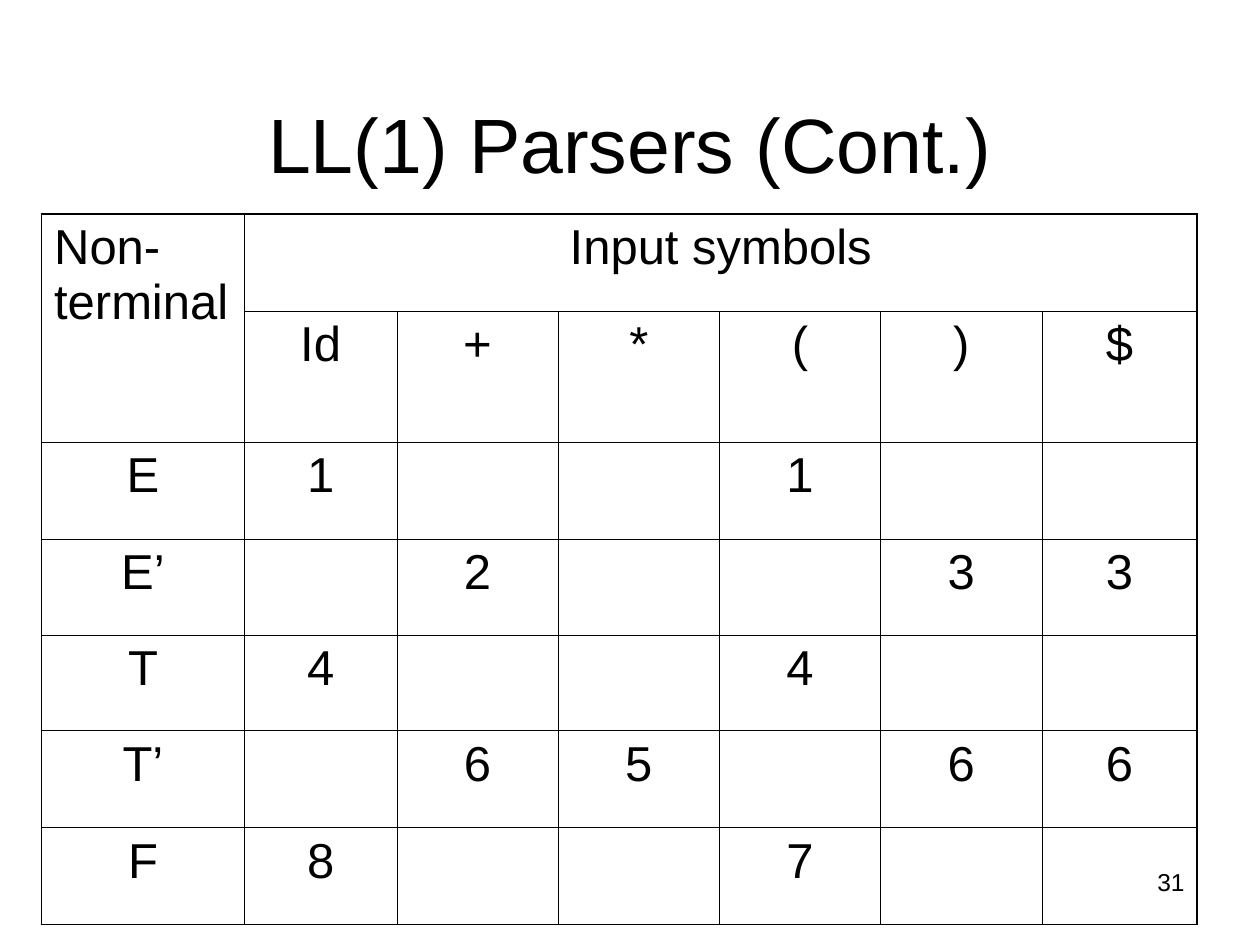
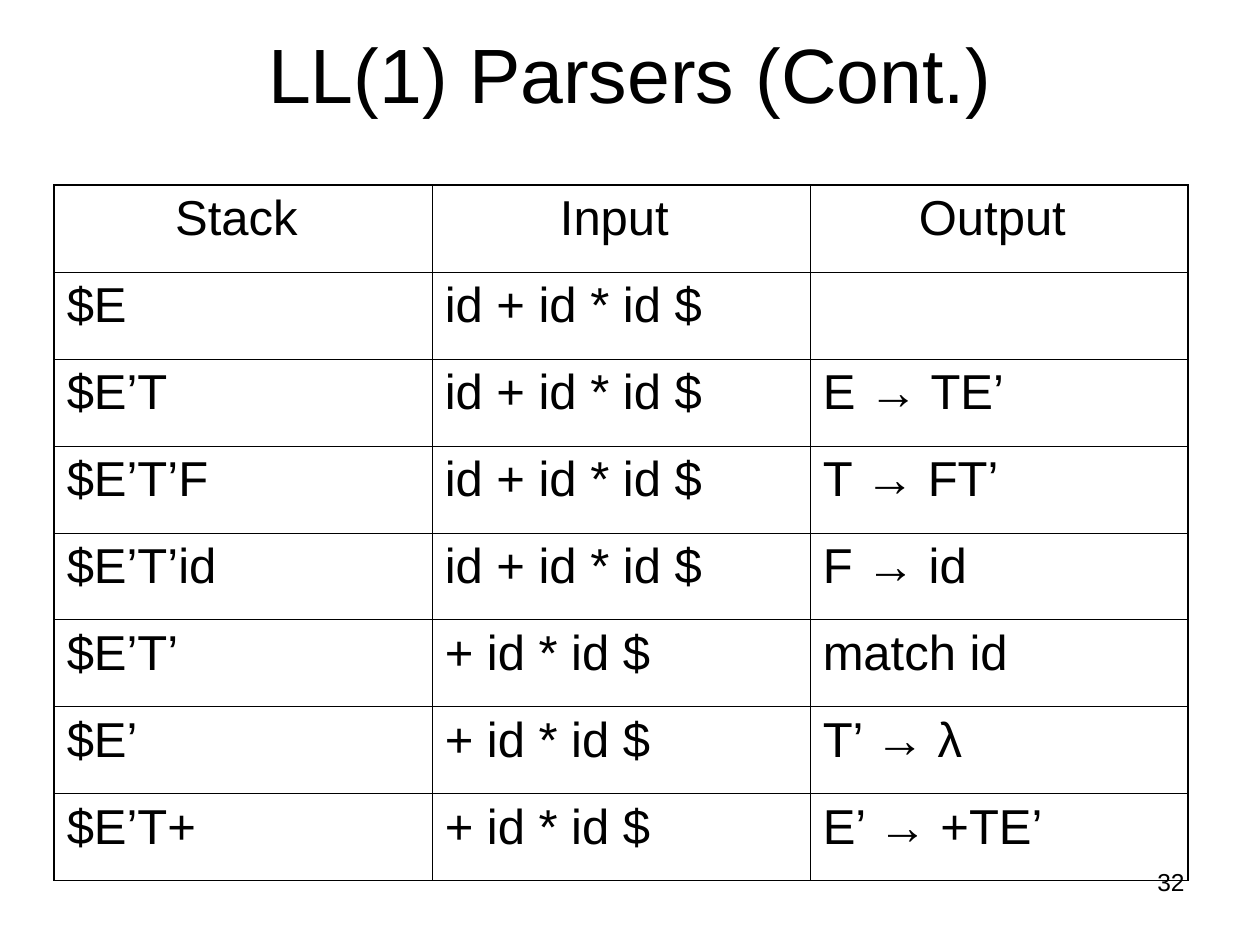
"""Build two slides on LL(1) parsing: the parse table and a parsing trace."""
import pptx
import pptx.dml.color
import pptx.enum.text
import pptx.oxml
import pptx.oxml.ns
import pptx.util

Inches = pptx.util.Inches
ALIGN = pptx.enum.text.PP_ALIGN
ANCHOR = pptx.enum.text.MSO_ANCHOR

FONT = "Arial"
BLACK = "000000"
OUTER_LINE, INNER_LINE = 1.08, 0.45
NUMBER_BOX = (7.17, 6.83, 2.33, 0.52)
TITLE = "LL(1) Parsers (Cont.)"

SLIDES = [
    {
        "number": 31,
        "title_box": (0.5, 0.3, 9, 1.25),
        "table_at": (0.33, 1.7),
        "columns": [1.61, 1.21] + [1.28] * 4 + [1.23],
        "rows": [0.77, 1.04, 0.77, 0.76, 0.76, 0.77, 0.77],
        "merges": [((0, 0), (1, 0)), ((0, 1), (0, 6))],
        "left_aligned": lambda row, column: row == column == 0,
        "cells": [
            ("Non-terminal", "Input symbols", "", "", "", "", ""),
            ("", "Id", "+", "*", "(", ")", "$"),
            ("E", "1", "", "", "1", "", ""),
            ("E’", "", "2", "", "", "3", "3"),
            ("T", "4", "", "", "4", "", ""),
            ("T’", "", "6", "5", "", "6", "6"),
            ("F", "8", "", "", "7", "", ""),
        ],
    },
    {
        "number": 32,
        "title_box": (0.5, 0.3, 9, 0.69),
        "table_at": (0.43, 1.47),
        "columns": [3] * 3,
        "rows": [0.69] * 8,
        "merges": [],
        "left_aligned": lambda row, column: row > 0,
        "cells": [
            ("Stack ", "Input ", "Output "),
            ("$E", "id + id * id $", ""),
            ("$E’T", "id + id * id $", "E → TE’"),
            ("$E’T’F", "id + id * id $", "T → FT’"),
            ("$E’T’id", "id + id * id $", "F → id"),
            ("$E’T’", "+ id * id $", "match id"),
            ("$E’", "+ id * id $", "T’ → λ"),
            ("$E’T+", "+ id * id $", "E’ → +TE’"),
        ],
    },
]


def color(value):
    return pptx.dml.color.RGBColor.from_string(value)


def write(text_frame, text, size, alignment, space_before=0):
    text_frame.text = text
    paragraph = text_frame.paragraphs[0]
    paragraph.alignment = alignment
    paragraph.space_before = pptx.util.Pt(space_before)
    for run in paragraph.runs:
        run.font.name = FONT
        run.font.size = pptx.util.Pt(size)
        run.font.color.rgb = color(BLACK)


def add_text(slide, box, text, size, alignment, anchor):
    text_frame = slide.shapes.add_textbox(*map(Inches, box)).text_frame
    text_frame.word_wrap = True
    text_frame.vertical_anchor = anchor
    write(text_frame, text, size, alignment)


def set_borders(cell, outer_sides):
    properties = cell._tc.get_or_add_tcPr()
    for side in "LRTB":
        width = pptx.util.Pt(OUTER_LINE if side in outer_sides else INNER_LINE)
        properties.append(pptx.oxml.parse_xml(
            f'<a:ln{side} {pptx.oxml.ns.nsdecls("a")} w="{width}"><a:solidFill>'
            f'<a:srgbClr val="{BLACK}"/></a:solidFill></a:ln{side}>'))


def add_grid(slide, content):
    columns, rows = content["columns"], content["rows"]
    size = (sum(columns), sum(rows))
    table = slide.shapes.add_table(
        len(rows), len(columns), *map(Inches, content["table_at"] + size)).table
    table.first_row = table.horz_banding = False
    for column, width in zip(table.columns, columns):
        column.width = Inches(width)
    for row, height in zip(table.rows, rows):
        row.height = Inches(height)
    for first, last in content["merges"]:
        table.cell(*first).merge(table.cell(*last))
    for row, texts in enumerate(content["cells"]):
        for column, text in enumerate(texts):
            cell = table.cell(row, column)
            right = column + (cell.span_width if cell.is_merge_origin else 1)
            bottom = row + (cell.span_height if cell.is_merge_origin else 1)
            edges = {"L": column == 0, "R": right == len(columns),
                     "T": row == 0, "B": bottom == len(rows)}
            set_borders(cell, [side for side, outer in edges.items() if outer])
            cell.fill.background()
            left = content["left_aligned"](row, column)
            write(cell.text_frame, text, 28, ALIGN.LEFT if left else ALIGN.CENTER, 7)


presentation = pptx.Presentation()
presentation.slide_width, presentation.slide_height = Inches(10), Inches(7.5)
for content in SLIDES:
    slide = presentation.slides.add_slide(presentation.slide_layouts[6])
    add_text(slide, NUMBER_BOX, str(content["number"]), 14, ALIGN.RIGHT, ANCHOR.TOP)
    add_text(slide, content["title_box"], TITLE, 44, ALIGN.CENTER, ANCHOR.BOTTOM)
    add_grid(slide, content)
presentation.save("out.pptx")
